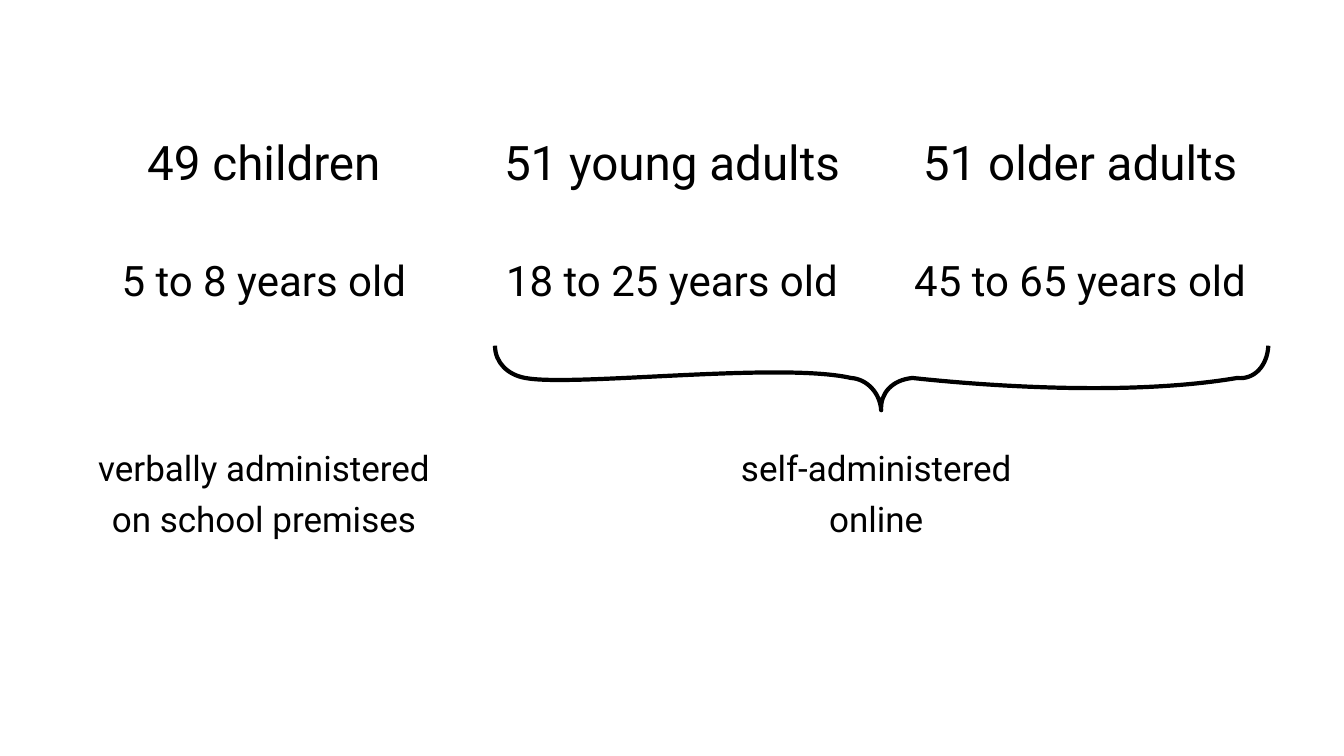
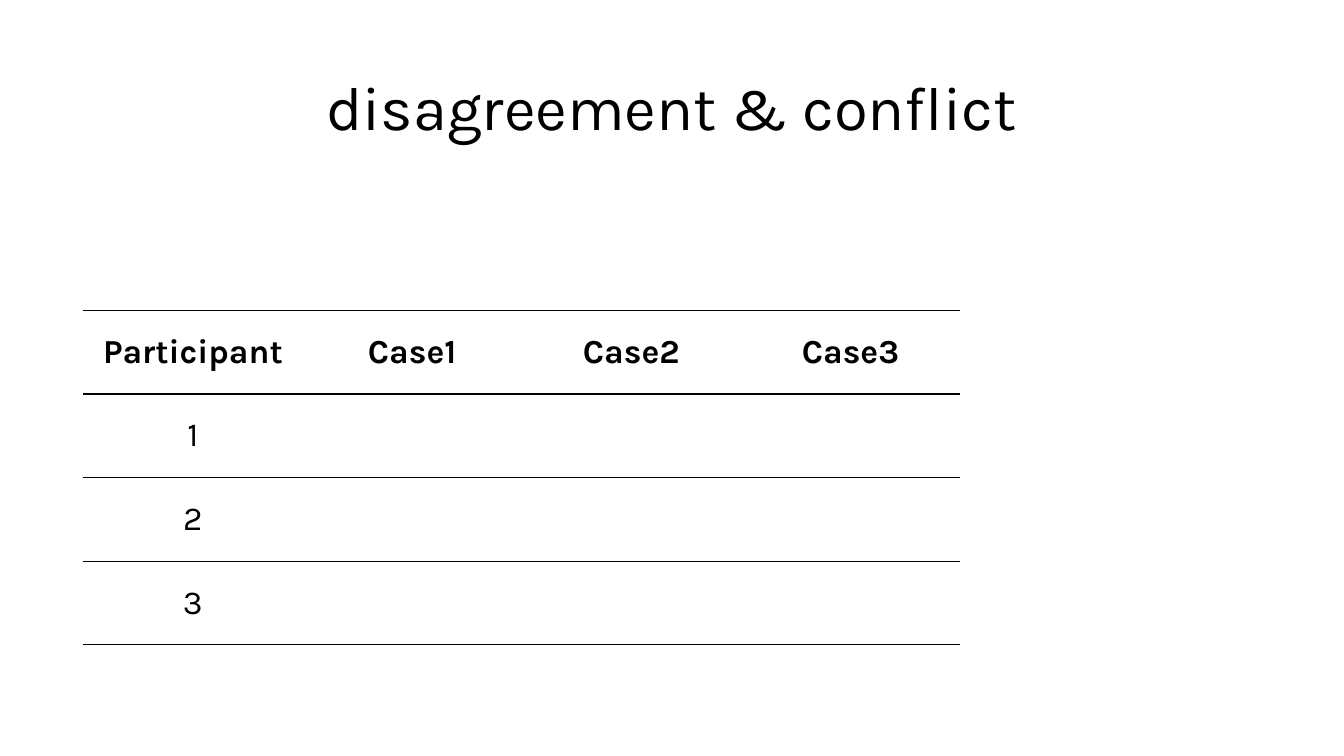
from lxml import etree
from pptx import Presentation
from pptx import util as u
from pptx.dml.color import RGBColor
from pptx.enum import text
from pptx.oxml.ns import qn

BLACK = "000000"
NO_STYLE = "{2D5ABB26-0587-4C30-8999-92F81FD0307C}"

prs = Presentation()
prs.slide_width, prs.slide_height = u.Inches(13.33), u.Inches(7.5)
pw, ph = prs.slide_width / 100, prs.slide_height / 100


def set_run(p, words, font, size, bold=False, color=BLACK):
    r = p.add_run()
    r.text = words
    r.font.name, r.font.size, r.font.bold = font, u.Pt(size), bold
    r.font.color.rgb = RGBColor.from_string(color)


def add_grid(s, left, top, widths, heights, rows, font, rules=None, middle=True):
    n, m = len(heights), len(widths)
    frame = s.shapes.add_table(n, m, int(left * pw), int(top * ph),
                               int(sum(widths) * pw), int(sum(heights) * ph))
    tbl = frame.table
    tbl.first_row = tbl.horz_banding = False
    tbl._tbl.tblPr.find(qn("a:tableStyleId")).text = NO_STYLE
    for j, width in enumerate(widths):
        tbl.columns[j].width = int(width * pw)
    for i, (size, bold, words) in enumerate(rows):
        tbl.rows[i].height = int(heights[i] * ph)
        for j, word in enumerate(words):
            cell = tbl.cell(i, j)
            if middle:
                cell.vertical_anchor = text.MSO_ANCHOR.MIDDLE
            if rules:
                for tag, weight in (("a:lnT", rules[i]), ("a:lnB", rules[i + 1])):
                    ln = etree.SubElement(cell._tc.get_or_add_tcPr(), qn(tag), w=str(u.Pt(weight)))
                    fill = etree.SubElement(ln, qn("a:solidFill"))
                    etree.SubElement(fill, qn("a:srgbClr"), val=BLACK)
            cell.fill.background()
            p = cell.text_frame.paragraphs[0]
            p.alignment = text.PP_ALIGN.CENTER
            if word:
                set_run(p, word, font, size, bold)


s = prs.slides.add_slide(prs.slide_layouts[6])
third = 30.37
add_grid(s, 4.45, 17.33, [third] * 3, [16.1, 8.3], [
    (34, False, ["49 children", "51 young adults", "51 older adults"]),
    (30, False, ["5 to 8 years old", "18 to 25 years old", "45 to 65 years old"]),
], "Roboto", middle=False)
add_grid(s, 4.45, 58.67, [third, 2 * third], [6.8] * 2, [
    (25, False, ["verbally administered", "self-administered"]),
    (25, False, ["on school premises", "online"]),
], "Roboto")

brace_start = (12.58, 3.43)
brace_curves = [
    [(12.57, 3.63), (12.44, 3.77), (12.27, 3.75)],
    [(11.21, 3.93), (9.79, 3.83), (9.05, 3.75)],
    [(8.85, 3.77), (8.73, 3.9), (8.74, 4.07)],
    [(8.73, 3.9), (8.6, 3.76), (8.44, 3.75)],
    [(7.74, 3.59), (5.68, 3.84), (5.21, 3.75)],
    [(5.04, 3.72), (4.91, 3.6), (4.91, 3.43)],
]
builder = s.shapes.build_freeform(100 * brace_start[0], 100 * brace_start[1],
                                  scale=u.Inches(1) / 100)
builder.add_line_segments([(100 * x, 100 * y) for curve in brace_curves for x, y in curve],
                          close=False)
brace = builder.convert_to_shape()
lines = list(brace._element.iter(qn("a:lnTo")))
for k in range(0, len(lines), 3):
    bezier = etree.Element(qn("a:cubicBezTo"))
    lines[k].addprevious(bezier)
    for line in lines[k:k + 3]:
        bezier.append(line[0])
        line.getparent().remove(line)
brace.shadow.inherit = False
brace.fill.background()
brace.line.color.rgb = RGBColor.from_string(BLACK)
brace.line.width = u.Pt(3)

s = prs.slides.add_slide(prs.slide_layouts[5])
title = s.shapes.title
title.left, title.width = int(3.4 * pw), int(93.2 * pw)
title.top, title.height = int(8.67 * ph), int(11.87 * ph)
tf = title.text_frame
tf.word_wrap = True
tf.vertical_anchor = text.MSO_ANCHOR.MIDDLE
p = tf.paragraphs[0]
p.alignment = text.PP_ALIGN.CENTER
p.line_spacing = 0.9
set_run(p, "disagreement & conflict", "Karla", 44)

header = (24, True, ["Participant", "Case1", "Case2", "Case3"])
participants = [(24, False, [str(k), "", "", ""]) for k in (1, 2, 3)]
add_grid(s, 6.2, 41.07, [16.31] * 4, [11.05] * 4, [header] + participants,
         "Karla", rules=[1, 1.5, 1, 1, 1])

prs.save("out.pptx")
